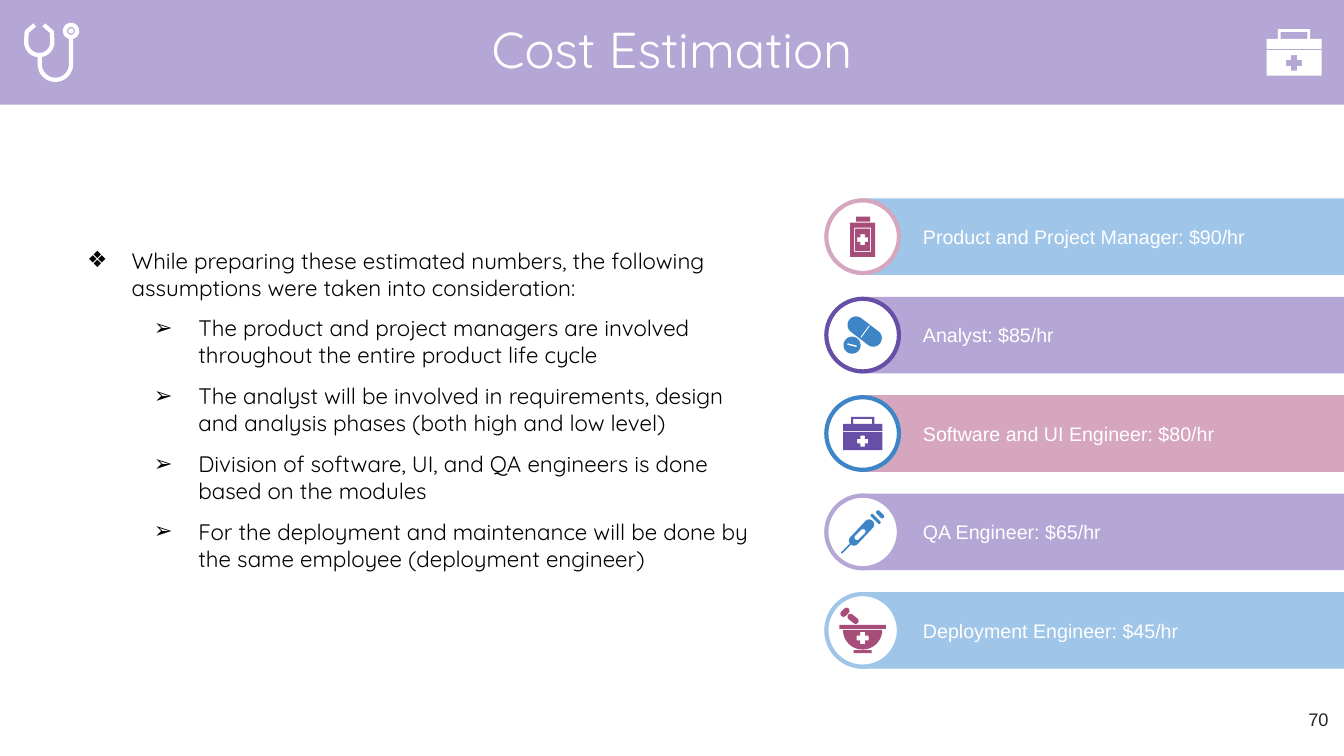
import math

import lxml.etree
import pptx
import pptx.dml.color
import pptx.enum.shapes
import pptx.enum.text
import pptx.oxml.ns
import pptx.util

Cm = pptx.util.Cm
Pt = pptx.util.Pt
SHAPES = pptx.enum.shapes.MSO_SHAPE
ALIGN = pptx.enum.text.PP_ALIGN
ANCHOR = pptx.enum.text.MSO_ANCHOR
AUTO_SIZE = pptx.enum.text.MSO_AUTO_SIZE

COLORS = {
    "sky": "9FC5E8", "lilac": "B4A7D6", "rose": "D5A6BD", "violet": "674EA7",
    "blue": "3D85C6", "berry": "A64D79", "white": "FFFFFF", "black": "000000",
    "charcoal": "262626",
}
TITLE = "Cost Estimation"
PAGE_NUMBER = "70"
ASSUMPTIONS = [
    (0, "While preparing these estimated numbers, the following assumptions were taken into consideration:"),
    (1, "The product and project managers are involved throughout the entire product life cycle"),
    (1, "The analyst will be involved in requirements, design and analysis phases (both high and low level)"),
    (1, "Division of software, UI, and QA engineers is done based on the modules"),
    (1, "For the deployment and maintenance will be done by the same employee (deployment engineer)"),
]
# label, bar colour, ring colour, icon, icon colour
RATES = [
    ("Product and Project Manager: $90/hr", "sky", "rose", "bottle", "berry"),
    ("Analyst: $85/hr", "lilac", "violet", "pills", "blue"),
    ("Software and UI Engineer: $80/hr", "rose", "blue", "kit", "violet"),
    ("QA Engineer: $65/hr", "lilac", "lilac", "syringe", "blue"),
    ("Deployment Engineer: $45/hr", "sky", "sky", "bowl", "berry"),
]
BULLETS = [("❖", Cm(1.7)), ("➢", Cm(3.38))]
HANGING = Cm(-1.12)
INSET = Cm(0.25)
SLIDE_W, SLIDE_H, HEADER_H = Cm(33.87), Cm(19.05), Cm(2.64)
BAR_LEFT, BAR_TOP, BAR_H, BAR_PITCH = Cm(21.66), Cm(5), Cm(1.93), Cm(2.48)
RING_SIZE, RING_CENTER = Cm(1.83), Cm(21.74)
ICON_UNIT = Cm(2.54) / 100
HEADER_KIT_SCALE = 1.4


def arc(cx, cy, r, start=0, end=360, steps=24):
    """Points along a circle; degrees run clockwise from the right."""
    angles = [math.radians(start + (end - start) * i / steps) for i in range(steps + 1)]
    return [(cx + r * math.cos(a), cy + r * math.sin(a)) for a in angles]


def box(l, t, r, b):
    return [(l, t), (r, t), (r, b), (l, b)]


def rod(x1, y1, x2, y2, r):
    """Thick segment with round ends."""
    tilt = math.degrees(math.atan2(y2 - y1, x2 - x1))
    return arc(x1, y1, r, tilt + 90, tilt + 270) + arc(x2, y2, r, tilt - 90, tilt + 90)


def cross(cx, cy, reach):
    half = reach * 0.4
    arm = [(half, -reach), (half, -half), (reach, -half)]
    points = []
    for _ in range(4):
        points += [(cx + x, cy + y) for x, y in arm]
        arm = [(-y, x) for x, y in arm]
    return points


# Outlines in hundredths of an inch; inner outlines cut holes.
ICONS = {
    "bottle": [box(6, 0, 20, 5), box(0, 6, 25, 40), box(4, 11, 21, 35),
               box(5, 12, 20, 34), cross(12.5, 23, 5.5)],
    "pills": [arc(10, 28, 8.5), rod(6, 27, 14, 29, 0.8),
              rod(14, 8, 31, 21, 8.5), rod(27, 9, 19, 20, 0.6)],
    "kit": [box(8, 0, 31, 7), box(10, 2, 29, 7), box(0, 7, 39, 14),
            box(0, 15, 39, 33), cross(19.5, 24, 5.5)],
    "syringe": [rod(1, 43, 9, 35, 0.8), rod(13, 31, 28, 15, 5), rod(16, 28, 22, 22, 2.5),
                rod(31, 6, 38, 13, 1.5), rod(37, 3, 41, 7, 2)],
    "bowl": [box(0, 17, 46, 21), arc(23, 22, 19.5, 0, 180), box(14, 42, 32, 45),
             cross(23, 30, 6), rod(4, 6, 7, 3, 3), rod(11, 9, 16, 13, 3)],
}
STETHOSCOPE_TUBES = [
    [(11, 2), (3, 9)] + arc(15.5, 19, 13, 180, 0) + [(28, 9), (20, 2)],
    [(16, 32)] + arc(31.5, 41, 15.5, 180, 0) + [(47, 15)],
    arc(47, 8, 6), arc(47, 8, 0.5),
]


def rgb(name):
    return pptx.dml.color.RGBColor.from_string(COLORS[name])


def paint(shape, fill=None, line=None):
    shape.shadow.inherit = False
    if fill:
        shape.fill.solid()
        shape.fill.fore_color.rgb = rgb(fill)
    else:
        shape.fill.background()
    if line:
        shape.line.color.rgb = rgb(line)
        shape.line.width = Pt(3)
    else:
        shape.line.fill.background()


def style(paragraph, font, size, color, align=ALIGN.LEFT):
    paragraph.alignment = align
    for run in paragraph.runs:
        run.font.name = font
        run.font.size = Pt(size)
        run.font.color.rgb = rgb(color)


def place(shape, left, top, width, height):
    shape.left, shape.top, shape.width, shape.height = left, top, width, height


def draw_outlines(shapes, outlines, center_x, center_y, scale=1, closed=True):
    """Draw the outlines as one freeform around the given centre."""
    xs, ys = zip(*[point for outline in outlines for point in outline])
    mid_x, mid_y = (min(xs) + max(xs)) / 2, (min(ys) + max(ys)) / 2
    unit = ICON_UNIT * scale
    builder = None
    for outline in outlines:
        points = [(center_x + (x - mid_x) * unit, center_y + (y - mid_y) * unit) for x, y in outline]
        if builder is None:
            builder = shapes.build_freeform(*points[0])
        else:
            builder.move_to(*points[0])
        builder.add_line_segments(points[1:], close=closed)
    return builder.convert_to_shape()


def add_bullet(paragraph, level):
    symbol, margin = BULLETS[level]
    paragraph.level = level
    properties = paragraph._p.get_or_add_pPr()
    properties.set("marL", str(margin))
    properties.set("indent", str(HANGING))
    qn = pptx.oxml.ns.qn
    bullet_color = lxml.etree.SubElement(properties, qn("a:buClr"))
    lxml.etree.SubElement(bullet_color, qn("a:srgbClr"), val=COLORS["black"])
    lxml.etree.SubElement(properties, qn("a:buChar"), char=symbol)


def add_header(slide):
    header = slide.shapes.title
    place(header, 0, 0, SLIDE_W, HEADER_H)
    paint(header, "lilac")
    frame = header.text_frame
    frame.text = TITLE
    frame.vertical_anchor = ANCHOR.MIDDLE
    frame.auto_size = AUTO_SIZE.NONE
    frame.paragraphs[0].line_spacing = 0.9
    style(frame.paragraphs[0], "Quicksand", 36, "white", ALIGN.CENTER)
    middle = HEADER_H // 2
    tubes = draw_outlines(slide.shapes, STETHOSCOPE_TUBES, Cm(1.3), middle, closed=False)
    paint(tubes, line="white")
    kit = draw_outlines(slide.shapes, ICONS["kit"], Cm(32.61), middle, HEADER_KIT_SCALE)
    paint(kit, "white")


def add_assumptions(slide):
    body = slide.placeholders[1]
    place(body, Cm(1.37), Cm(5.97), Cm(17.96), Cm(9.83))
    frame = body.text_frame
    frame.auto_size = AUTO_SIZE.NONE
    frame.margin_left = frame.margin_right = frame.margin_top = frame.margin_bottom = INSET
    frame.text = "\n".join(text for _, text in ASSUMPTIONS)
    for paragraph, (level, _) in zip(frame.paragraphs, ASSUMPTIONS):
        add_bullet(paragraph, level)
        paragraph.space_before = Pt(10 * level)
        style(paragraph, "Quicksand", 16, "black")


def add_rate(shapes, row, label, bar_color, ring_color, icon, icon_color):
    top = BAR_TOP + row * BAR_PITCH
    middle = top + BAR_H // 2
    bar = shapes.add_shape(SHAPES.RECTANGLE, BAR_LEFT, top, SLIDE_W - BAR_LEFT, BAR_H)
    paint(bar, bar_color)
    bar.text_frame.margin_left = Cm(1.6)
    bar.text_frame.vertical_anchor = ANCHOR.MIDDLE
    bar.text_frame.text = label
    style(bar.text_frame.paragraphs[0], "Arial", 14, "white")
    ring = shapes.add_shape(SHAPES.OVAL, RING_CENTER - RING_SIZE // 2,
                            middle - RING_SIZE // 2, RING_SIZE, RING_SIZE)
    paint(ring, "white", ring_color)
    paint(draw_outlines(shapes, ICONS[icon], RING_CENTER, middle), icon_color)


def main():
    deck = pptx.Presentation()
    deck.slide_width, deck.slide_height = SLIDE_W, SLIDE_H
    slide = deck.slides.add_slide(deck.slide_layouts[1])
    add_header(slide)
    add_assumptions(slide)
    for row, rate in enumerate(RATES):
        add_rate(slide.shapes, row, *rate)
    page = slide.shapes.add_textbox(Cm(31.7), Cm(17.6), Cm(2.03), Cm(1.45)).text_frame
    page.word_wrap = True
    page.margin_top = INSET
    page.text = PAGE_NUMBER
    style(page.paragraphs[0], "Arial", 13, "charcoal", ALIGN.RIGHT)
    deck.save("out.pptx")


if __name__ == "__main__":
    main()
